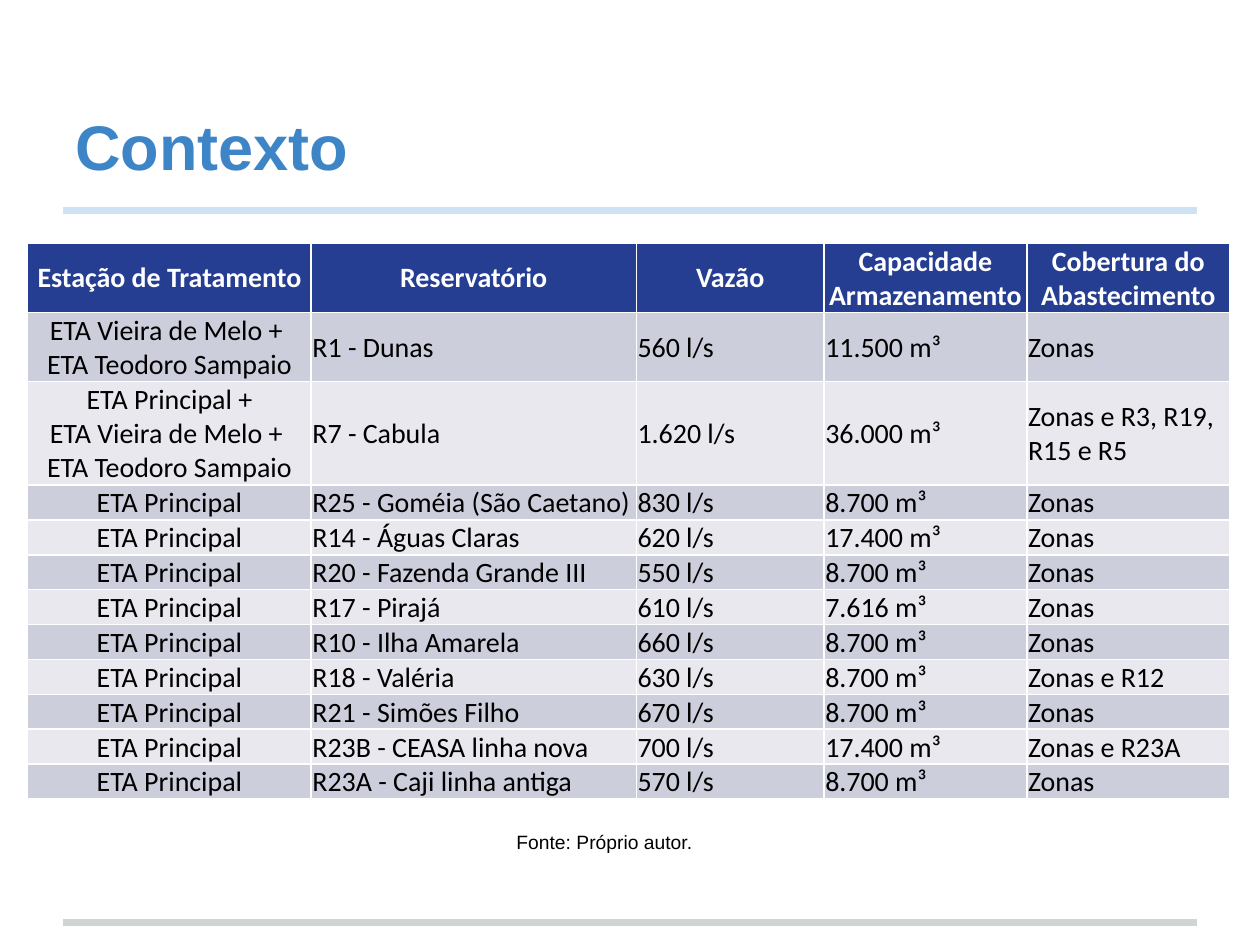
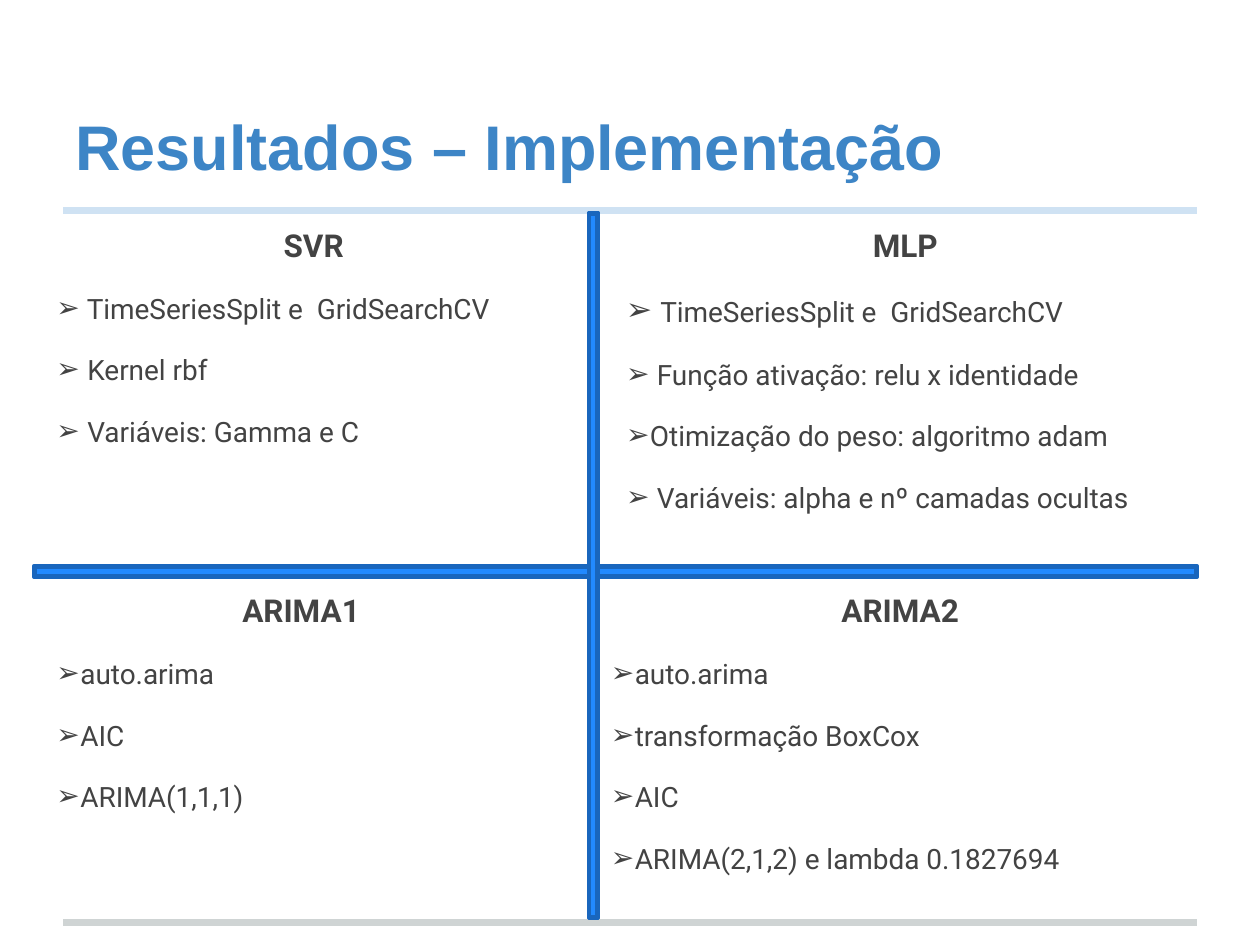
from typing import NamedTuple

from lxml.etree import SubElement
from pptx import Presentation
from pptx.dml.color import RGBColor
from pptx.enum.shapes import MSO_CONNECTOR, MSO_SHAPE
from pptx.enum.text import MSO_ANCHOR, PP_ALIGN
from pptx.oxml.ns import qn
from pptx.util import Inches, Pt

# Slide size and grid: 100 columns by 75 rows
WIDTH, HEIGHT = Inches(10), Inches(7.5)
COLUMN, ROW = WIDTH / 100, HEIGHT / 75

TITLE_BLUE = RGBColor(0x3D, 0x85, 0xC6)
TITLE_RULE = RGBColor(0xCF, 0xE2, 0xF3)
FOOTER_RULE = RGBColor(0xCF, 0xD4, 0xD4)
HEADER_BLUE = RGBColor(0x25, 0x3E, 0x91)
BAND_DARK = RGBColor(0xCD, 0xCE, 0xDC)
BAND_LIGHT = RGBColor(0xE8, 0xE8, 0xEE)
BAR_FILL = RGBColor(0x22, 0x8A, 0xFF)
BAR_EDGE = RGBColor(0x19, 0x66, 0xBD)
BODY_GRAY = RGBColor(0x43, 0x43, 0x43)
WHITE = RGBColor(0xFF, 0xFF, 0xFF)
BLACK = RGBColor(0, 0, 0)

RESERVOIR_COLUMNS = [22.5, 25.8, 14.9, 16.1, 16.1]
RESERVOIR_HEADER = ["Estação de Tratamento", "Reservatório", "Vazão",
                    "Capacidade Armazenamento", "Cobertura do Abastecimento"]
MAIN_PLANT = "ETA Principal"
TWO_PLANTS = "ETA Vieira de Melo + \nETA Teodoro Sampaio"
RESERVOIRS = [
    [TWO_PLANTS, "R1 - Dunas", "560 l/s", "11.500 m³", "Zonas"],
    [f"{MAIN_PLANT} +\n{TWO_PLANTS}", "R7 - Cabula", "1.620 l/s", "36.000 m³",
     "Zonas e R3, R19, R15 e R5"],
    [MAIN_PLANT, "R25 - Goméia (São Caetano)", "830 l/s", "8.700 m³", "Zonas"],
    [MAIN_PLANT, "R14 - Águas Claras", "620 l/s", "17.400 m³", "Zonas"],
    [MAIN_PLANT, "R20 - Fazenda Grande III", "550 l/s", "8.700 m³", "Zonas"],
    [MAIN_PLANT, "R17 - Pirajá", "610 l/s", "7.616 m³", "Zonas"],
    [MAIN_PLANT, "R10 - Ilha Amarela", "660 l/s", "8.700 m³", "Zonas"],
    [MAIN_PLANT, "R18 - Valéria", "630 l/s", "8.700 m³", "Zonas e R12"],
    [MAIN_PLANT, "R21 - Simões Filho", "670 l/s", "8.700 m³", "Zonas"],
    [MAIN_PLANT, "R23B - CEASA linha nova", "700 l/s", "17.400 m³", "Zonas e R23A"],
    [MAIN_PLANT, "R23A - Caji linha antiga", "570 l/s", "8.700 m³", "Zonas"],
]


class Box(NamedTuple):
    """An area in grid columns and rows."""
    left: float
    top: float
    width: float
    height: float

    def inner(self, left, top, width, height):
        return Box(self.left + left, self.top + top, width, height)

    def lengths(self):
        return (round(self.left * COLUMN), round(self.top * ROW),
                round(self.width * COLUMN), round(self.height * ROW))


def style(span, font, size, color, bold=False):
    span.font.name = font
    span.font.size = Pt(size)
    span.font.bold = bold
    span.font.color.rgb = color


def add_text_frame(page, box, inset=0.1):
    frame = page.shapes.add_textbox(*box.lengths()).text_frame
    frame.word_wrap = True
    frame.margin_left = frame.margin_right = Inches(0.1)
    frame.margin_top = frame.margin_bottom = Inches(inset)
    return frame


def add_rule(page, row, color):
    left, top, width, _ = Box(5, row, 90, 0).lengths()
    rule = page.shapes.add_connector(MSO_CONNECTOR.STRAIGHT, left, top, left + width, top)
    rule.line.color.rgb = color
    rule.line.width = Pt(4)
    SubElement(rule._element.spPr, qn("a:effectLst"))


def add_page(deck, title):
    """A blank page with the shared rules and title."""
    page = deck.slides.add_slide(deck.slide_layouts[6])
    add_rule(page, 73.2, FOOTER_RULE)
    add_rule(page, 16.7, TITLE_RULE)
    frame = add_text_frame(page, Box(5, 3, 90, 12.5))
    frame.vertical_anchor = MSO_ANCHOR.BOTTOM
    frame.text = title
    style(frame.paragraphs[0].runs[0], "Arial", 36, TITLE_BLUE, bold=True)
    return page


def add_borders(cell):
    properties = cell._tc.get_or_add_tcPr()
    for side in ("lnL", "lnR", "lnT", "lnB"):
        line = SubElement(properties, qn(f"a:{side}"), w=str(Pt(1)))
        fill = SubElement(line, qn("a:solidFill"))
        SubElement(fill, qn("a:srgbClr"), val=str(WHITE))


def fill_cell(cell, text, fill, color, centered, bold):
    add_borders(cell)
    cell.fill.solid()
    cell.fill.fore_color.rgb = fill
    cell.vertical_anchor = MSO_ANCHOR.MIDDLE
    cell.margin_left = cell.margin_right = cell.margin_top = Inches(0.01)
    cell.margin_bottom = 0
    para = cell.text_frame.paragraphs[0]
    para.text = text
    para.alignment = PP_ALIGN.CENTER if centered else PP_ALIGN.LEFT
    for span in para.runs:
        style(span, "Calibri", 16, color, bold)


def add_reservoir_table(page, box):
    rows = [RESERVOIR_HEADER] + RESERVOIRS
    line_counts = [2] + [row[0].count("\n") + 1 for row in RESERVOIRS]
    table = page.shapes.add_table(len(rows), len(RESERVOIR_COLUMNS), *box.lengths()).table
    for column, width in zip(table.columns, RESERVOIR_COLUMNS):
        column.width = round(width * COLUMN)
    for r, (row, lines) in enumerate(zip(rows, line_counts)):
        table.rows[r].height = round(box.height * ROW * lines / sum(line_counts))
        header = r == 0
        band = HEADER_BLUE if header else (BAND_DARK if r % 2 else BAND_LIGHT)
        for c, text in enumerate(row):
            fill_cell(table.cell(r, c), text, band, WHITE if header else BLACK,
                      centered=header or c == 0, bold=header)


def add_source_note(page, box):
    frame = add_text_frame(page, box, inset=0.05)
    frame.word_wrap = False
    frame.text = "Fonte: Próprio autor."
    style(frame.paragraphs[0].runs[0], "Arial", 11, BLACK)


def add_bar(page, box):
    bar = page.shapes.add_shape(MSO_SHAPE.BEVEL, *box.lengths())
    bar.shadow.inherit = False
    bar.fill.solid()
    bar.fill.fore_color.rgb = BAR_FILL
    bar.line.color.rgb = BAR_EDGE
    bar.line.width = Pt(2)


def set_indent(para, left, first=0.0):
    properties = para._p.get_or_add_pPr()
    properties.set("marL", str(Inches(left)))
    properties.set("indent", str(Inches(first)))
    return properties


def add_bullet(para):
    properties = set_indent(para, 0.27, -0.19)
    color = SubElement(properties, qn("a:buClr"))
    SubElement(color, qn("a:srgbClr"), val=str(BODY_GRAY))
    SubElement(properties, qn("a:buFont"), typeface="Roboto")
    SubElement(properties, qn("a:buChar"), char="➢")


def add_model(page, box, name, items, large_lead=False):
    """A model's heading and bullets; large_lead sets the first space in heading style."""
    frame = add_text_frame(page, box)
    heading = frame.paragraphs[0]
    heading.text = name
    heading.alignment = PP_ALIGN.CENTER
    heading.space_before = Pt(16)
    set_indent(heading, 0.08)
    style(heading.runs[0], "Roboto", 18, BODY_GRAY, bold=True)
    for number, item in enumerate(items):
        para = frame.add_paragraph()
        para.level = 1
        para.alignment = PP_ALIGN.JUSTIFY
        para.space_before = Pt(16)
        add_bullet(para)
        if large_lead and number == 0:
            lead = para.add_run()
            lead.text, item = item[0], item[1:]
            style(lead, "Roboto", 18, BODY_GRAY, bold=True)
        span = para.add_run()
        span.text = item
        style(span, "Roboto", 16, BODY_GRAY)


def add_model_quadrants(page, box):
    # Crossed bars
    add_bar(page, box.inner(0, 28, box.width, 0.9))
    add_bar(page, box.inner(44, 0, 0.8, box.height))
    # Models
    search = " TimeSeriesSplit e  GridSearchCV"
    add_model(page, box.inner(0, 0, 43.6, 28), "SVR",
              [search, " Kernel rbf", " Variáveis: Gamma e C"])
    add_model(page, box.inner(45.2, 0, 47.1, 28), "MLP",
              [search, " Função ativação: relu x identidade",
               "Otimização do peso: algoritmo adam",
               " Variáveis: alpha e nº camadas ocultas"], large_lead=True)
    add_model(page, box.inner(0, 29, 41.6, 27), "ARIMA1",
              ["auto.arima", "AIC", "ARIMA(1,1,1)"])
    add_model(page, box.inner(44, 29, 48.7, 27), "ARIMA2",
              ["auto.arima", "transformação BoxCox ", "AIC",
               "ARIMA(2,1,2) e lambda 0.1827694"])


def main():
    deck = Presentation()
    deck.slide_width, deck.slide_height = WIDTH, HEIGHT

    context = add_page(deck, "Contexto")
    add_reservoir_table(context, Box(2.2, 19.3, 95.6, 43.9))
    add_source_note(context, Box(40, 65.4, 16.1, 2.9))

    results = add_page(deck, "Resultados – Implementação")
    add_model_quadrants(results, Box(2.7, 16.9, 92.3, 56))

    deck.save("out.pptx")


if __name__ == "__main__":
    main()
